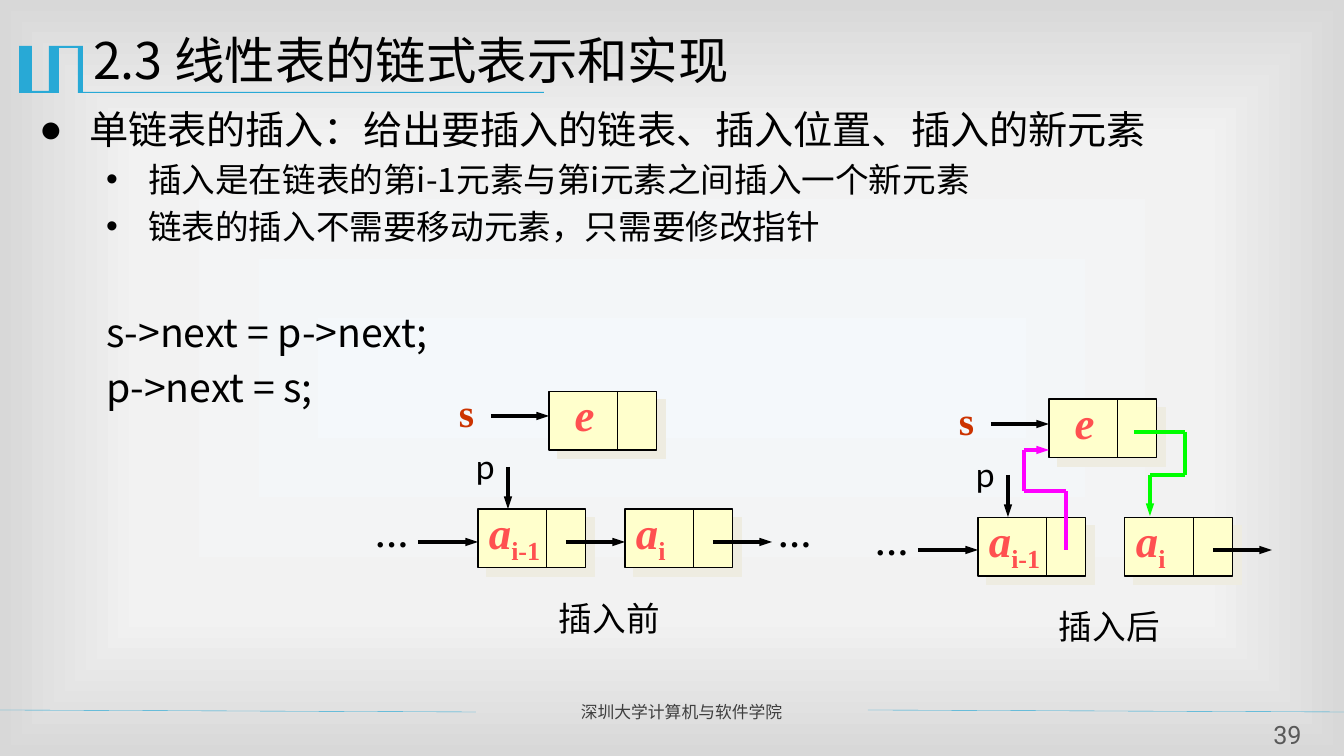
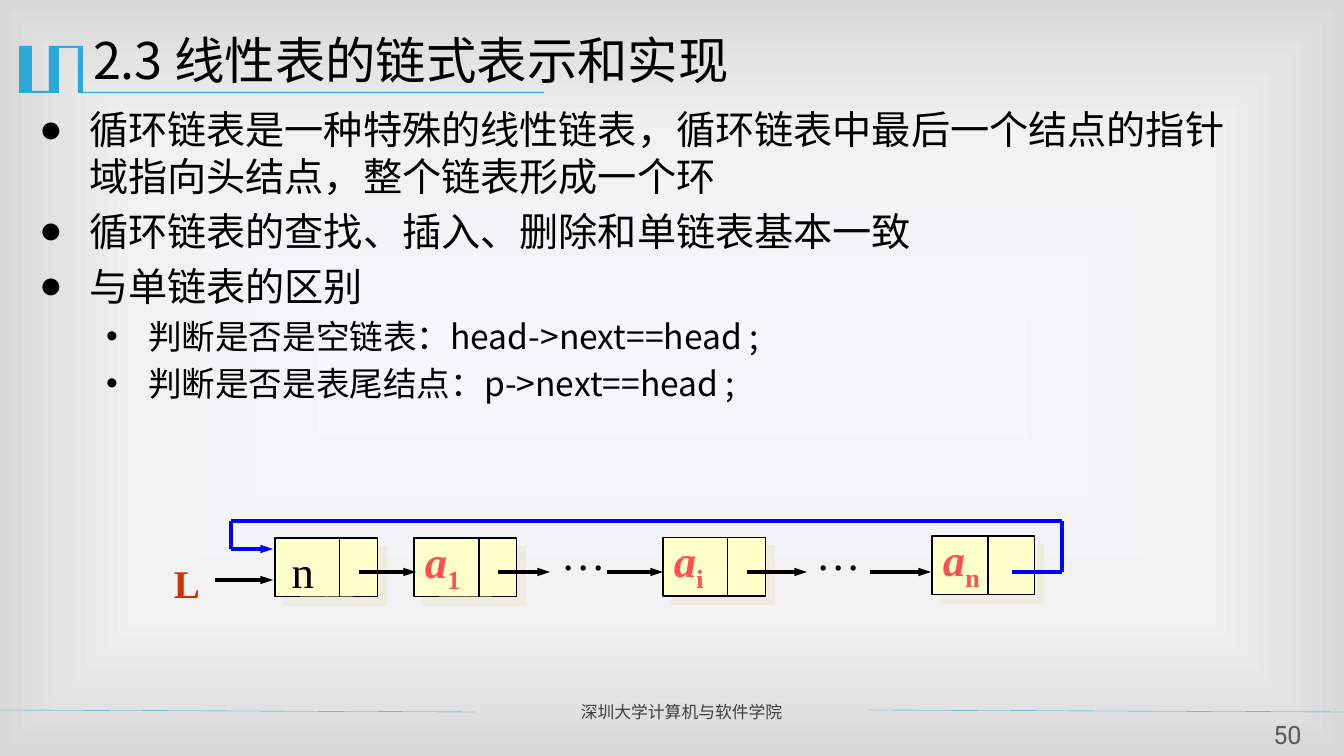
from dataclasses import dataclass
from itertools import pairwise

from lxml.etree import SubElement
from pptx import Presentation
from pptx.dml.color import RGBColor
from pptx.enum.shapes import MSO_CONNECTOR, MSO_SHAPE
from pptx.enum.text import MSO_ANCHOR, MSO_AUTO_SIZE, PP_ALIGN
from pptx.oxml import parse_xml
from pptx.oxml.ns import nsdecls, qn
from pptx.util import Emu, Pt

EMU_PER_PX = 12192000 / 1344


@dataclass(frozen=True)
class Theme:
    accent: str = "28A9D6"
    ink: str = "000000"
    footer: str = "3F3F3F"
    number: str = "595959"
    node: str = "FFFFCC"
    shadow: str = "EEECE1"
    element: str = "FF5050"
    pointer: str = "CC3300"
    pink: str = "FF00FF"
    green: str = "00FF00"
    blue: str = "0000FF"
    background: tuple = ((0, "F4F8FB"), (63, "F2F2F2"), (100, "D8D8D8"))
    sans: str = "Noto Sans CJK SC"
    serif: str = "Times New Roman"
    caption: str = "Lato"
    small: str = "Roboto"
    title_pt: int = 36
    element_pt: int = 32
    body_pt: int = 28
    sub_pt: int = 24
    number_pt: int = 18
    footer_pt: int = 12
    leading: float = 1.2
    gap: float = 0.2


T = Theme()


def fmt(name: str, size: int, color: str = T.ink, **extra) -> dict:
    return {"color": color, "name": name, "size": Pt(size), **extra}


TITLE = fmt(T.sans, T.title_pt)
FOOTER = fmt(T.small, T.footer_pt, T.footer)
NUMBER = fmt(T.small, T.number_pt, T.number)
ELEMENT = fmt(T.serif, T.element_pt, T.element, bold=True, italic=True)
HEAD = fmt(T.serif, T.element_pt)
POINTER = fmt(T.serif, T.body_pt, T.pointer, bold=True)
DOTS = fmt(T.serif, T.sub_pt, bold=True)
BIG_DOTS = fmt(T.serif, T.element_pt)
CAPTION = fmt(T.caption, T.sub_pt)


@dataclass(frozen=True)
class Bullet:
    size: int
    level: int
    margin: int
    indent: int
    char: str = ""
    blank_lines: int = 0


MAIN = Bullet(T.body_pt, 0, 50, -50, "●")
SUB = Bullet(T.sub_pt, 1, 109, -42, "•")
CODE = Bullet(T.body_pt, 1, 67, 0)
CODE_START = Bullet(T.body_pt, 1, 67, 0, blank_lines=1)


@dataclass(frozen=True)
class Node:
    x: int
    y: int
    w: int
    split: int
    text: str
    sub: str = ""
    format: dict = None
    label_w: int = 90
    label_dy: int = -9
    align: PP_ALIGN = PP_ALIGN.LEFT


@dataclass(frozen=True)
class Label:
    x: int
    y: int
    w: int
    h: int
    text: str
    format: dict
    align: PP_ALIGN = PP_ALIGN.LEFT


@dataclass(frozen=True)
class Route:
    points: tuple
    color: str = T.ink
    width: float = 3
    arrow: bool = True


def px(n: float) -> Emu:
    return Emu(round(n * EMU_PER_PX))


def rgb(color: str) -> RGBColor:
    return RGBColor.from_string(color)


def add_run(p, text: str, values: dict, baseline: int = 0) -> None:
    r = p.add_run()
    r.text = text
    for key, value in values.items():
        if key == "color":
            r.font.color.rgb = rgb(value)
        else:
            setattr(r.font, key, value)
    rPr = r.font._element
    SubElement(rPr, qn("a:ea"), typeface=values["name"])
    if baseline:
        rPr.set("baseline", str(baseline * 1000))


def add_label(s, label: Label, sub: str = "", inset: bool = True) -> None:
    tf = s.shapes.add_textbox(*map(px, (label.x, label.y, label.w, label.h))).text_frame
    tf.word_wrap = True
    if not inset:
        for side in ("left", "top", "right", "bottom"):
            setattr(tf, f"margin_{side}", 0)
    p = tf.paragraphs[0]
    p.alignment = label.align
    add_run(p, label.text, label.format)
    if sub:
        add_run(p, sub, {**label.format, "italic": False}, baseline=-25)


def add_route(s, route: Route, dx: int = 0, dy: int = 0) -> None:
    points = [(px(x + dx), px(y + dy)) for x, y in route.points]
    for start, end in pairwise(points):
        c = s.shapes.add_connector(MSO_CONNECTOR.STRAIGHT, *start, *end)
        c.line.color.rgb = rgb(route.color)
        c.line.width = Pt(route.width)
        SubElement(c._element.spPr, qn("a:effectLst"))
    if route.arrow:
        SubElement(c.line._get_or_add_ln(), qn("a:tailEnd"), type="triangle", w="sm", len="med")


def add_node(s, node: Node, dx: int = 0, dy: int = 0) -> None:
    x, y, h = node.x + dx, node.y + dy, 59
    sp = s.shapes.add_shape(MSO_SHAPE.RECTANGLE, px(x), px(y), px(node.w), px(h))
    sp.fill.solid()
    sp.fill.fore_color.rgb = rgb(T.node)
    sp.line.color.rgb = rgb(T.ink)
    sp.line.width = Pt(0.75)
    sp.shadow.inherit = False
    effects = sp._element.spPr.find(qn("a:effectLst"))
    shadow = SubElement(effects, qn("a:outerShdw"), blurRad="0", dist=str(Pt(8.5)),
                        dir="2700000", algn="ctr", rotWithShape="0")
    SubElement(shadow, qn("a:srgbClr"), val=T.shadow)
    split = x + node.split
    add_route(s, Route(((split, y), (split, y + h)), width=0.75, arrow=False))
    add_label(s, Label(x + 1, y + node.label_dy, node.label_w, 65, node.text,
                       node.format or ELEMENT, node.align), node.sub)


def add_diagram(s, nodes=(), labels=(), routes=(), dx: int = 0, dy: int = 0) -> None:
    for node in nodes:
        add_node(s, node, dx, dy)
    for label in labels:
        add_label(s, Label(label.x + dx, label.y + dy, label.w, label.h,
                           label.text, label.format, label.align))
    for route in routes:
        add_route(s, route, dx, dy)


def set_template(prs):
    """Set the background and placeholder places, and return the layout."""
    master, layout = prs.slide_master, prs.slide_layouts[1]
    master.background.fill.solid()
    bgPr = master._element.find(".//" + qn("p:bgPr"))
    stops = "".join(f'<a:gs pos="{pos * 1000}"><a:srgbClr val="{color}"/></a:gs>'
                    for pos, color in T.background)
    bgPr.replace(bgPr[0], parse_xml(
        f'<a:gradFill {nsdecls("a")} rotWithShape="1"><a:gsLst>{stops}</a:gsLst>'
        '<a:path path="rect"><a:fillToRect l="50000" t="50000" r="50000" b="50000"/>'
        '</a:path></a:gradFill>'))
    for idx, box in enumerate(((83, 24, 1210, 88), (29, 100, 1223, 567))):
        ph = layout.placeholders[idx]
        ph.left, ph.top, ph.width, ph.height = map(px, box)
    return layout


def add_frame(s, number: int) -> None:
    # Title ornament
    outline = [(83, 46), (83, 92), (544, 92), (544, 93), (78, 93), (78, 48), (59, 48),
               (59, 93), (19, 93), (19, 46), (32, 46), (32, 91), (49, 91), (49, 46)]
    builder = s.shapes.build_freeform(*outline[0], scale=EMU_PER_PX)
    builder.add_line_segments(outline[1:], close=True)
    sp = builder.convert_to_shape()
    sp.fill.solid()
    sp.fill.fore_color.rgb = rgb(T.accent)
    sp.line.fill.background()
    sp.shadow.inherit = False
    # Footer and page number
    for x in (0, 868):
        add_route(s, Route(((x, 710), (x + 476, 712)), T.accent, 0.25, False))
    add_label(s, Label(571, 697, 287, 30, "深圳大学计算机与软件学院", FOOTER, PP_ALIGN.JUSTIFY))
    add_label(s, Label(1258, 719, 59, 31, str(number), NUMBER, PP_ALIGN.CENTER), inset=False)


def add_content_slide(prs, layout, number: int, items: list):
    s = prs.slides.add_slide(layout)
    add_frame(s, number)
    title, body = s.shapes.title.text_frame, s.placeholders[1].text_frame
    for tf in (title, body):
        tf.auto_size = MSO_AUTO_SIZE.NONE
        tf.vertical_anchor = MSO_ANCHOR.TOP
    # Title
    p = title.paragraphs[0]
    p.alignment = PP_ALIGN.LEFT
    p.line_spacing = Pt(T.title_pt * T.leading)
    add_run(p, "2.3 线性表的链式表示和实现", TITLE)
    # List
    for i, (text, bullet) in enumerate(items):
        p = body.add_paragraph() if i else body.paragraphs[0]
        p.level = bullet.level
        p.line_spacing = Pt(bullet.size * T.leading)
        blank = bullet.blank_lines * (T.leading + T.gap)
        p.space_before = Pt(bullet.size * (T.gap + blank))
        pPr = p._p.get_or_add_pPr()
        pPr.set("marL", str(px(bullet.margin)))
        pPr.set("indent", str(px(bullet.indent)))
        if bullet.char:
            SubElement(pPr, qn("a:buChar"), char=bullet.char)
        else:
            SubElement(pPr, qn("a:buNone"))
        add_run(p, text, fmt(T.sans, bullet.size))
    return s


def add_insertion_slide(prs, layout) -> None:
    s = add_content_slide(prs, layout, 39, [
        ("单链表的插入：给出要插入的链表、插入位置、插入的新元素", MAIN),
        ("插入是在链表的第i-1元素与第i元素之间插入一个新元素", SUB),
        ("链表的插入不需要移动元素，只需要修改指针", SUB),
        ("s->next = p->next;", CODE_START),
        ("p->next = s;", CODE),
    ])
    # Parts found both before and after the insertion
    nodes = [Node(478, 509, 108, 69, "a", "i-1"), Node(625, 509, 108, 69, "a", "i"),
             Node(549, 391, 108, 69, "e", label_w=69, align=PP_ALIGN.CENTER)]
    labels = [Label(449, 383, 46, 57, "s", POINTER), Label(365, 509, 76, 50, "…", DOTS),
              Label(466, 441, 76, 50, "p", CAPTION)]
    routes = [Route(((418, 542), (478, 542))), Route(((713, 542), (772, 542))),
              Route(((491, 416), (549, 416))), Route(((508, 467), (508, 509)))]
    for caption, dx, dy in (("插入前", 0, 0), ("插入后", 500, 8)):
        add_diagram(s, nodes, labels + [Label(549, 593, 143, 50, caption, CAPTION)],
                    routes, dx, dy)
    # Old link, then the two new ones
    add_diagram(s, labels=[Label(768, 509, 76, 50, "…", DOTS)], routes=[
        Route(((566, 542), (625, 542))),
        Route(((1066, 550), (1066, 491), (1024, 491), (1024, 450), (1049, 450)), T.pink),
        Route(((1134, 432), (1185, 432), (1185, 475), (1150, 475), (1150, 516)), T.green),
    ])


def add_circular_slide(prs, layout) -> None:
    s = add_content_slide(prs, layout, 50, [
        ("循环链表是一种特殊的线性链表，循环链表中最后一个结点的指针域指向头结点，整个链表形成一个环", MAIN),
        ("循环链表的查找、插入、删除和单链表基本一致", MAIN),
        ("与单链表的区别", MAIN),
        ("判断是否是空链表：head->next==head ;", SUB),
        ("判断是否是表尾结点：p->next==head ;", SUB),
    ])
    nodes = [Node(275, 538, 103, 65, "n", "", HEAD, 48, 1, PP_ALIGN.RIGHT),
             Node(414, 538, 103, 65, "a", "1"), Node(663, 537, 103, 65, "a", "i"),
             Node(932, 536, 103, 56, "a", "n")]
    labels = [Label(164, 554, 60, 57, "L", POINTER)]
    labels += [Label(x, 521, 60, 65, "…", BIG_DOTS) for x in (551, 806)]
    links = ((359, 416), (498, 550), (607, 663), (747, 807), (870, 931))
    routes = [Route(((x1, 572), (x2, 572))) for x1, x2 in links]
    routes += [Route(((215, 580), (273, 580))),
               Route(((1012, 572), (1062, 572), (1062, 521), (231, 521),
                      (231, 549), (273, 549)), T.blue)]
    add_diagram(s, nodes, labels, routes)


def main() -> None:
    prs = Presentation()
    prs.slide_width, prs.slide_height = px(1344), px(756)
    layout = set_template(prs)
    add_insertion_slide(prs, layout)
    add_circular_slide(prs, layout)
    prs.save("out.pptx")


if __name__ == "__main__":
    main()
